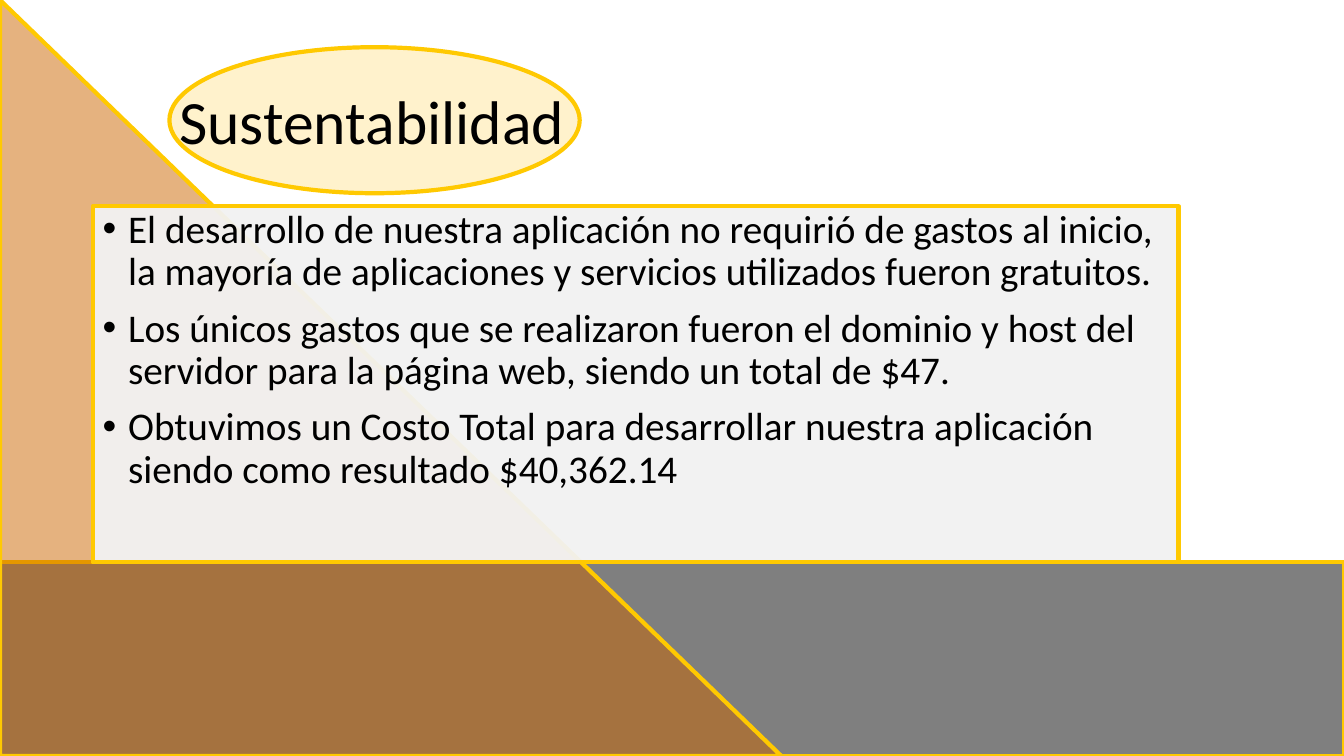
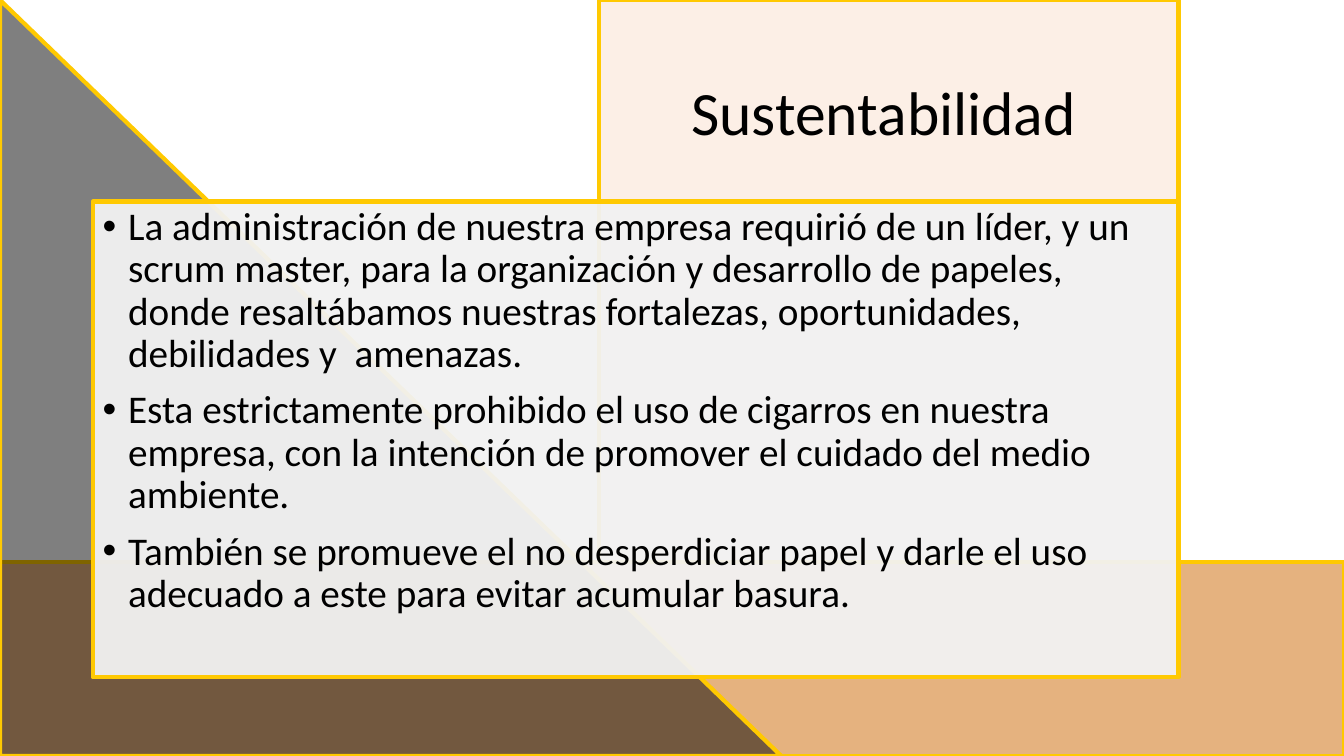
from dataclasses import dataclass

from lxml.etree import SubElement
from pptx import Presentation
from pptx.dml.color import RGBColor
from pptx.enum.shapes import MSO_SHAPE as Preset
from pptx.enum.text import MSO_ANCHOR as Anchor, PP_ALIGN as Align
from pptx.oxml.ns import qn
from pptx.util import Cm, Pt


@dataclass(frozen=True)
class Theme:
    font: str = "Calibri"
    title_size: int = 44
    body_size: int = 28
    line_width: int = 3
    line_spacing: float = 0.9
    space_before: int = 10
    text: str = "000000"
    outline: str = "FFC901"
    # Fills are (colour, opacity in percent)
    dark: tuple = ("000000", 50)
    copper: tuple = ("CC6600", 50)
    cream: tuple = ("FFF2CC", 100)
    peach: tuple = ("FBE5D6", 60)
    panel: tuple = ("F2F2F2", 95)


THEME = Theme()

# Lengths in centimetres
SLIDE_WIDTH, SLIDE_HEIGHT = 33.87, 19.05
BAND_TOP = 14.17
TRIANGLE_WIDTH = 19.69
PANEL_LEFT, PANEL_WIDTH = 2.34, 27.36
COLUMN_LEFT = 15.09
TITLE_WIDTH, TITLE_HEIGHT = 14, 3.68
BULLET_INDENT = 0.64

BAND = (Preset.RECTANGLE, (0, BAND_TOP, SLIDE_WIDTH, SLIDE_HEIGHT - BAND_TOP))
TRIANGLE = (Preset.ISOSCELES_TRIANGLE, (0, 0, TRIANGLE_WIDTH, SLIDE_HEIGHT))
TITLE_OVAL = (Preset.OVAL, (4.27, 1.19, 10.34, TITLE_HEIGHT))
TITLE_COLUMN = (Preset.RECTANGLE,
                (COLUMN_LEFT, 0, PANEL_LEFT + PANEL_WIDTH - COLUMN_LEFT, BAND_TOP))

SLIDES = [
    {
        "title": "Sustentabilidad",
        "title_at": (4.27, 1.3),
        "backdrop": [(BAND, THEME.dark), (TRIANGLE, THEME.copper), (TITLE_OVAL, THEME.cream)],
        "panel": {"top": 5.2, "bottom": BAND_TOP, "inset": 0.08},
        "bullets": [
            "El desarrollo de nuestra aplicación no requirió de gastos al inicio, "
            "la mayoría de aplicaciones y servicios utilizados fueron gratuitos.",
            "Los únicos gastos que se realizaron fueron el dominio y host del "
            "servidor para la página web, siendo un total de $47.",
            "Obtuvimos un Costo Total para desarrollar nuestra aplicación "
            "siendo como resultado $40,362.14",
        ],
    },
    {
        "title": "Sustentabilidad",
        "title_at": (17.17, 1.07),
        "backdrop": [(TITLE_COLUMN, THEME.peach), (BAND, THEME.copper), (TRIANGLE, THEME.dark)],
        "panel": {"top": 5.08, "bottom": 17.07, "inset": 0.13},
        "bullets": [
            "La administración de nuestra empresa requirió de un líder, y un "
            "scrum master, para la organización y desarrollo de papeles, "
            "donde resaltábamos nuestras fortalezas, oportunidades, "
            "debilidades y  amenazas.",
            "Esta estrictamente prohibido el uso de cigarros en nuestra "
            "empresa, con la intención de promover el cuidado del medio ambiente.",
            "También se promueve el no desperdiciar papel y darle el uso "
            "adecuado a este para evitar acumular basura.",
        ],
    },
]


def set_attributes(target, values):
    for name, value in values.items():
        setattr(target, name, value)


def add_outlined_shape(slide, preset, box, fill):
    shape = slide.shapes.add_shape(preset, *map(Cm, box))
    shape.shadow.inherit = False
    if preset == Preset.ISOSCELES_TRIANGLE:
        shape.adjustments[0] = 0
    color, opacity = fill
    shape.fill.solid()
    shape.fill.fore_color.rgb = RGBColor.from_string(color)
    if opacity < 100:
        color_element = shape._element.spPr.find(qn("a:solidFill")).find(qn("a:srgbClr"))
        SubElement(color_element, qn("a:alpha"), val=str(opacity * 1000))
    shape.line.color.rgb = RGBColor.from_string(THEME.outline)
    shape.line.width = Pt(THEME.line_width)
    return shape


def write_paragraphs(shape, texts, size, frame_format, paragraph_format):
    """Fill the shape with one styled paragraph per text and return the paragraphs."""
    frame = shape.text_frame
    frame.text = "\n".join(texts)
    set_attributes(frame, {"word_wrap": True, **frame_format})
    for paragraph in frame.paragraphs:
        set_attributes(paragraph, {"alignment": Align.LEFT,
                                   "line_spacing": THEME.line_spacing, **paragraph_format})
        for run in paragraph.runs:
            set_attributes(run.font, {"name": THEME.font, "size": Pt(size)})
            run.font.color.rgb = RGBColor.from_string(THEME.text)
    return frame.paragraphs


def add_bullet(paragraph):
    indent = Cm(BULLET_INDENT)
    properties = paragraph._p.get_or_add_pPr()
    properties.set("marL", str(indent))
    properties.set("indent", str(-indent))
    SubElement(properties, qn("a:buFont"), typeface="Arial")
    SubElement(properties, qn("a:buChar"), char="•")


def add_title(slide, text, position):
    title = slide.shapes.add_textbox(*map(Cm, (*position, TITLE_WIDTH, TITLE_HEIGHT)))
    write_paragraphs(title, [text], THEME.title_size, {"vertical_anchor": Anchor.MIDDLE}, {})


def add_bullet_panel(slide, bullets, top, bottom, inset):
    box = (PANEL_LEFT, top, PANEL_WIDTH, bottom - top)
    panel = add_outlined_shape(slide, Preset.RECTANGLE, box, THEME.panel)
    paragraphs = write_paragraphs(
        panel, bullets, THEME.body_size,
        {"vertical_anchor": Anchor.TOP, "margin_top": Cm(inset)},
        {"space_before": Pt(THEME.space_before)})
    for paragraph in paragraphs:
        add_bullet(paragraph)


def main():
    presentation = Presentation()
    set_attributes(presentation, {"slide_width": Cm(SLIDE_WIDTH),
                                  "slide_height": Cm(SLIDE_HEIGHT)})
    blank_layout = presentation.slide_layouts[6]
    for content in SLIDES:
        slide = presentation.slides.add_slide(blank_layout)
        for (preset, box), fill in content["backdrop"]:
            add_outlined_shape(slide, preset, box, fill)
        add_title(slide, content["title"], content["title_at"])
        add_bullet_panel(slide, content["bullets"], **content["panel"])
    presentation.save("out.pptx")


if __name__ == "__main__":
    main()
